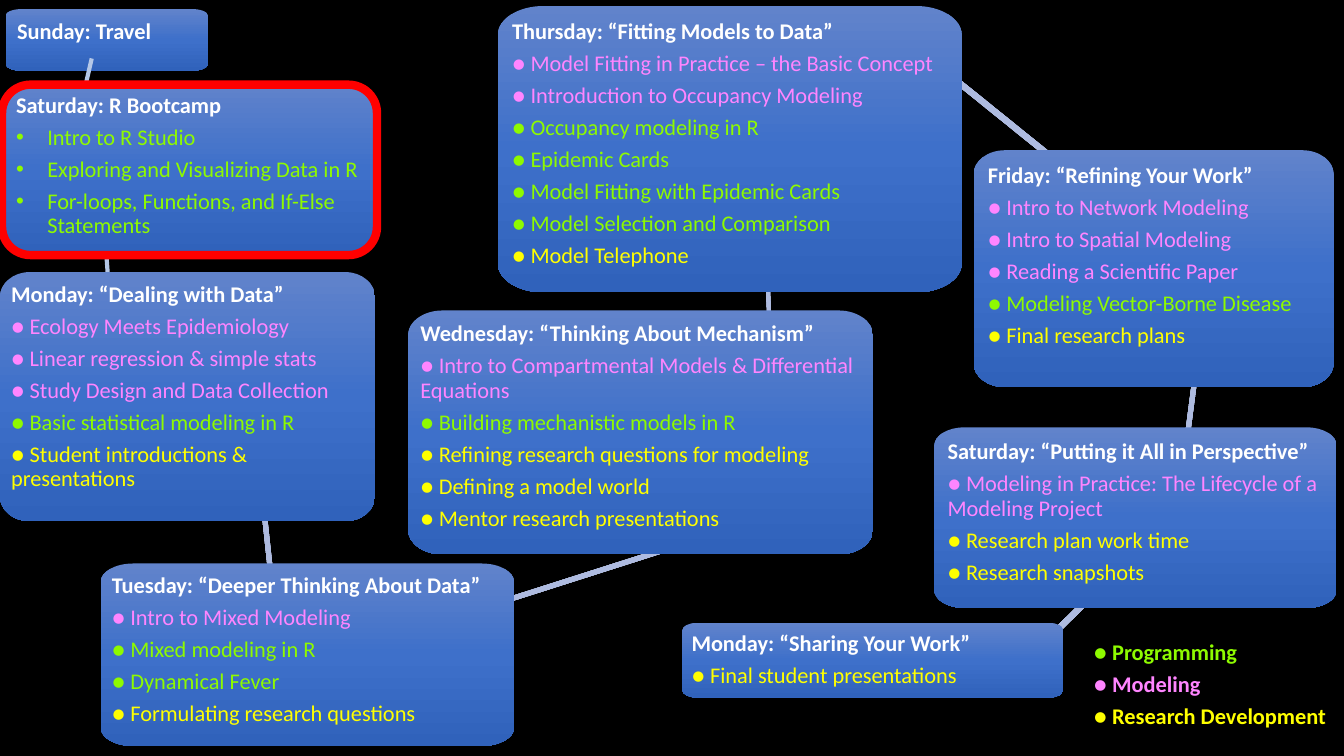
from copy import deepcopy

from lxml import etree
from pptx import Presentation
from pptx.dml.color import RGBColor
from pptx.enum.shapes import MSO_CONNECTOR, MSO_SHAPE
from pptx.enum.text import MSO_ANCHOR, PP_ALIGN
from pptx.oxml.ns import qn
from pptx.util import Emu, Pt

STRAIGHT = MSO_CONNECTOR.STRAIGHT
RECTANGLE = MSO_SHAPE.RECTANGLE
ROUNDED_RECTANGLE = MSO_SHAPE.ROUNDED_RECTANGLE
TOP = MSO_ANCHOR.TOP
LEFT = PP_ALIGN.LEFT

PX = 9144  # 100 px to the inch
FONT = "Calibri"
ARC = 0.55  # reach of the handles of a quarter ellipse

BLACK = RGBColor(0x00, 0x00, 0x00)
WHITE = RGBColor(0xFF, 0xFF, 0xFF)
RED = RGBColor(0xFF, 0x00, 0x00)
PALE_BLUE = RGBColor(0xB4, 0xC7, 0xE7)
PROGRAMMING = RGBColor(0x8E, 0xFA, 0x00)
MODELING = RGBColor(0xFF, 0x85, 0xFF)
RESEARCH = RGBColor(0xFF, 0xFF, 0x00)
PANEL_BLUES = (RGBColor(0x61, 0x83, 0xCB), RGBColor(0x3E, 0x70, 0xCA), RGBColor(0x30, 0x62, 0xBB))
BAR_BLUES = (RGBColor(0xBB, 0xC5, 0xE3), RGBColor(0xAE, 0xBB, 0xE0), RGBColor(0x97, 0xA5, 0xCA))

# Thin lines: start x, start y, end x, end y
LOWER_LINES = [(105, 245, 109, 301), (93, 278, 92, 324)]
SUNDAY_LINE = (91, 58, 85, 84)

# Bars between days: left, top, width, height, rotation
BARS = [
    (174, 491, 173, 5, 83.9),
    (303, 584, 456, 5, 342.3),
    (835, 104, 295, 6, 218.9),
    (541, 257, 439, 4, 267.3),
    (1061, 299, 268, 5, 97.4),
    (984, 555, 266, 6, 135.5),
]

# Days: box, corner width, inset, heading, topics by colour
DAYS = [
    ((0, 270, 372, 247), 29, 11, "Monday: “Dealing with Data”", [
        (MODELING, "Ecology Meets Epidemiology"),
        (MODELING, "Linear regression & simple stats"),
        (MODELING, "Study Design and Data Collection"),
        (PROGRAMMING, "Basic statistical modeling in R"),
        (RESEARCH, "Student introductions & presentations")]),
    ((100, 559, 410, 181), 32, 11, "Tuesday: “Deeper Thinking About Data”", [
        (MODELING, "Intro to Mixed Modeling"),
        (PROGRAMMING, "Mixed modeling in R"),
        (PROGRAMMING, "Dynamical Fever"),
        (RESEARCH, "Formulating research questions")]),
    ((494, 6, 460, 284), 45, 14, "Thursday: “Fitting Models to Data”", [
        (MODELING, "Model Fitting in Practice – the Basic Concept"),
        (MODELING, "Introduction to Occupancy Modeling"),
        (PROGRAMMING, "Occupancy modeling in R"),
        (PROGRAMMING, "Epidemic Cards"),
        (PROGRAMMING, "Model Fitting with Epidemic Cards"),
        (PROGRAMMING, "Model Selection and Comparison"),
        (RESEARCH, "Model Telephone")]),
    ((966, 149, 357, 235), 31, 14, "Friday: “Refining Your Work”", [
        (MODELING, "Intro to Network Modeling"),
        (MODELING, "Intro to Spatial Modeling"),
        (MODELING, "Reading a Scientific Paper"),
        (PROGRAMMING, "Modeling Vector-Borne Disease"),
        (RESEARCH, "Final research plans")]),
    ((927, 424, 399, 179), 29, 13, "Saturday: “Putting it All in Perspective”", [
        (MODELING, "Modeling in Practice: The Lifecycle of a Modeling Project"),
        (RESEARCH, "Research plan work time"),
        (RESEARCH, "Research snapshots")]),
    ((677, 618, 378, 74), 14, 9, "Monday: “Sharing Your Work”", [
        (RESEARCH, "Final student presentations")]),
    ((405, 308, 461, 242), 34, 12, "Wednesday: “Thinking About Mechanism”", [
        (MODELING, "Intro to Compartmental Models & Differential Equations"),
        (PROGRAMMING, "Building mechanistic models in R"),
        (RESEARCH, "Refining research questions for modeling"),
        (RESEARCH, "Defining a model world"),
        (RESEARCH, "Mentor research presentations")]),
]
BOOTCAMP = ((5, 82, 367, 171), 28, 11, "Saturday: R Bootcamp", [
    (PROGRAMMING, "Intro to R Studio"),
    (PROGRAMMING, "Exploring and Visualizing Data in R"),
    (PROGRAMMING, "For-loops, Functions, and If-Else Statements")])
SUNDAY = ((6, 9, 200, 61), 15, 11, "Sunday: Travel", [])
LEGEND = [(PROGRAMMING, "Programming"), (MODELING, "Modeling"), (RESEARCH, "Research Development")]


def px(*lengths):
    return [Emu(round(length * PX)) for length in lengths]


def fill_gradient(shape, colors):
    """Fill from top to bottom with three evenly spaced colours."""
    shape.shadow.inherit = False
    shape.line.fill.background()
    shape.fill.gradient()
    shape.fill.gradient_angle = 270
    stop_list = next(shape._element.spPr.iter(qn("a:gsLst")))
    stop_list.insert(1, deepcopy(stop_list[0]))
    for stop, color, position in zip(shape.fill.gradient_stops, colors, (0, 0.5, 1)):
        stop.color.rgb = color
        stop.position = position


def add_line(slide, ends):
    line = slide.shapes.add_connector(STRAIGHT, *px(*ends))
    line.line.color.rgb = PALE_BLUE
    line.line.width = Pt(3)
    etree.SubElement(line._element.spPr, qn("a:effectLst"))


def add_bar(slide, left, top, width, height, rotation):
    bar = slide.shapes.add_shape(RECTANGLE, *px(left, top, width, height))
    bar.rotation = rotation
    fill_gradient(bar, BAR_BLUES)


def add_outline(slide, points):
    builder = slide.shapes.build_freeform(*px(*points[0]))
    builder.add_line_segments([px(*point) for point in points[1:]])
    return builder.convert_to_shape()


def round_corner(segment, start, corner, end):
    """Turn a straight cut across a corner into a quarter ellipse."""
    segment.tag = qn("a:cubicBezTo")
    for near in (end, start):
        handle = [round(a + (b - a) * ARC) for a, b in zip(near, corner)]
        segment.insert(0, etree.Element(qn("a:pt"), x=str(handle[0]), y=str(handle[1])))


def add_panel(slide, box, corner_width):
    """Draw a box with elliptical corners a tenth of its height."""
    left, top, width, height = box
    corner_height = height / 10
    right, bottom = left + width, top + height
    inner_left, inner_right = left + corner_width, right - corner_width
    inner_top, inner_bottom = top + corner_height, bottom - corner_height
    points = [(left, inner_top), (inner_left, top), (inner_right, top), (right, inner_top),
              (right, inner_bottom), (inner_right, bottom), (inner_left, bottom),
              (left, inner_bottom)]
    panel = add_outline(slide, points)
    segments = list(panel._element.spPr.iter(qn("a:lnTo")))
    corners = [(left, top), (right, top), (right, bottom), (left, bottom)]
    for index, corner in enumerate(corners):
        start, corner, end = [px(x - left, y - top) for x, y in
                              (points[2 * index], corner, points[2 * index + 1])]
        round_corner(segments[2 * index], start, corner, end)
    fill_gradient(panel, PANEL_BLUES)
    return panel


def set_frame(shape, inset):
    frame = shape.text_frame
    frame.word_wrap = True
    frame.vertical_anchor = TOP
    margin, = px(inset)
    frame.margin_left = frame.margin_right = frame.margin_top = frame.margin_bottom = margin
    return frame


def write_lines(frame, lines, bulleted=False):
    """Write (colour, bold, text) lines; bullets go on the regular ones."""
    for index, (color, bold, text) in enumerate(lines):
        paragraph = frame.add_paragraph() if index else frame.paragraphs[0]
        paragraph.text = text
        paragraph.alignment = LEFT
        paragraph.line_spacing = 0.9
        paragraph.space_after = Pt(5.6)
        if bulleted and not bold:
            properties = paragraph._p.get_or_add_pPr()
            indent, = px(31)
            properties.set("marL", str(indent))
            properties.set("indent", str(-indent))
            etree.SubElement(properties, qn("a:buFont"), typeface="Arial")
            etree.SubElement(properties, qn("a:buChar"), char="•")
        paragraph.font.name = FONT
        paragraph.font.size = Pt(16)
        paragraph.font.bold = bold
        paragraph.font.color.rgb = color


def add_day(slide, box, corner_width, inset, heading, topics, bulleted=False):
    panel = add_panel(slide, box, corner_width)
    mark = "" if bulleted else "● "
    lines = [(WHITE, True, heading)] + [(color, False, mark + text) for color, text in topics]
    write_lines(set_frame(panel, inset), lines, bulleted)


def add_legend(slide):
    legend = add_outline(slide, [(1074, 625), (1371, 625), (1371, 722), (1074, 722)])
    legend.shadow.inherit = False
    legend.fill.background()
    legend.line.fill.background()
    write_lines(set_frame(legend, 11), [(color, True, "● " + text) for color, text in LEGEND])


def add_highlight(slide):
    highlight = slide.shapes.add_shape(ROUNDED_RECTANGLE, *px(2, 84, 372, 169))
    highlight.shadow.inherit = False
    highlight.fill.background()
    highlight.line.color.rgb = RED
    highlight.line.width = Pt(6)


def main():
    presentation = Presentation()
    presentation.slide_width, presentation.slide_height = px(4000 / 3, 750)
    slide = presentation.slides.add_slide(presentation.slide_layouts[6])
    slide.background.fill.solid()
    slide.background.fill.fore_color.rgb = BLACK

    # Links lie behind the days
    for ends in LOWER_LINES:
        add_line(slide, ends)
    for bar in BARS:
        add_bar(slide, *bar)

    # Days and legend
    for day in DAYS:
        add_day(slide, *day)
    add_legend(slide)
    add_day(slide, *BOOTCAMP, bulleted=True)
    add_day(slide, *SUNDAY)

    # Link and frame on top
    add_line(slide, SUNDAY_LINE)
    add_highlight(slide)
    presentation.save("out.pptx")


if __name__ == "__main__":
    main()
